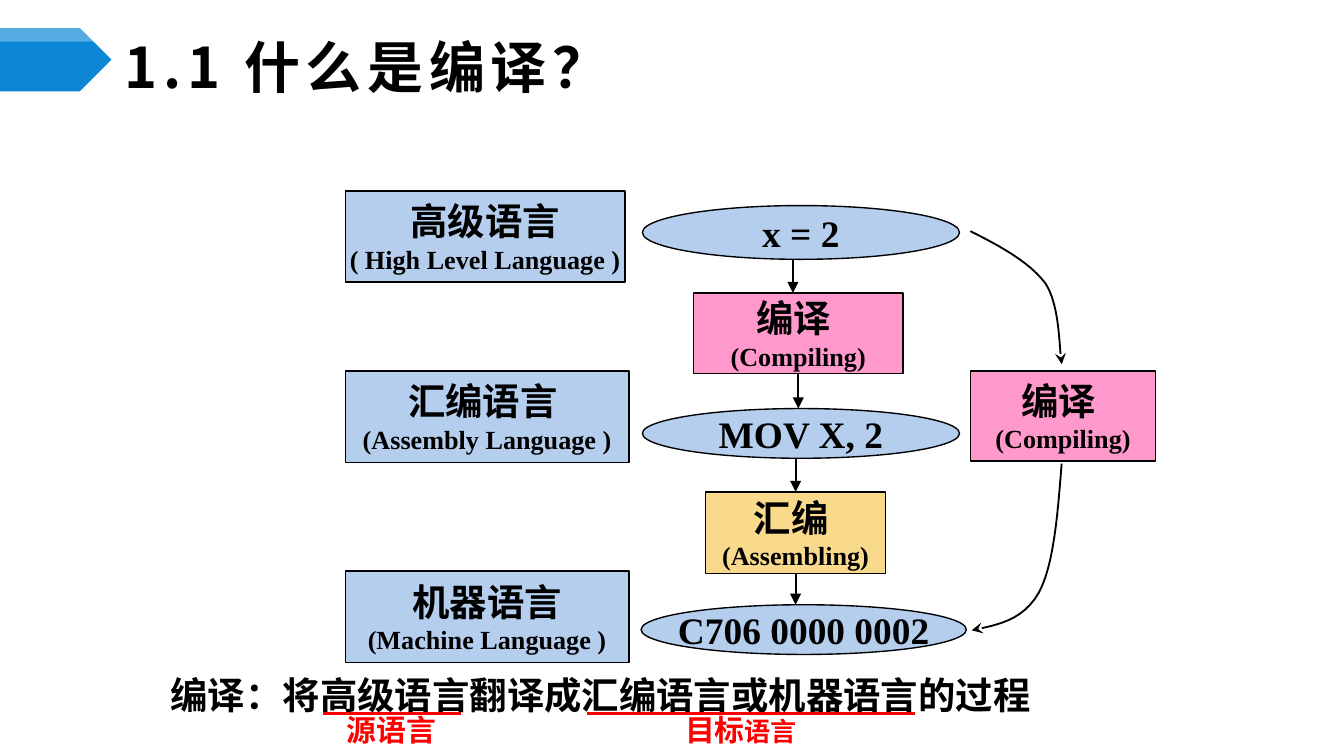
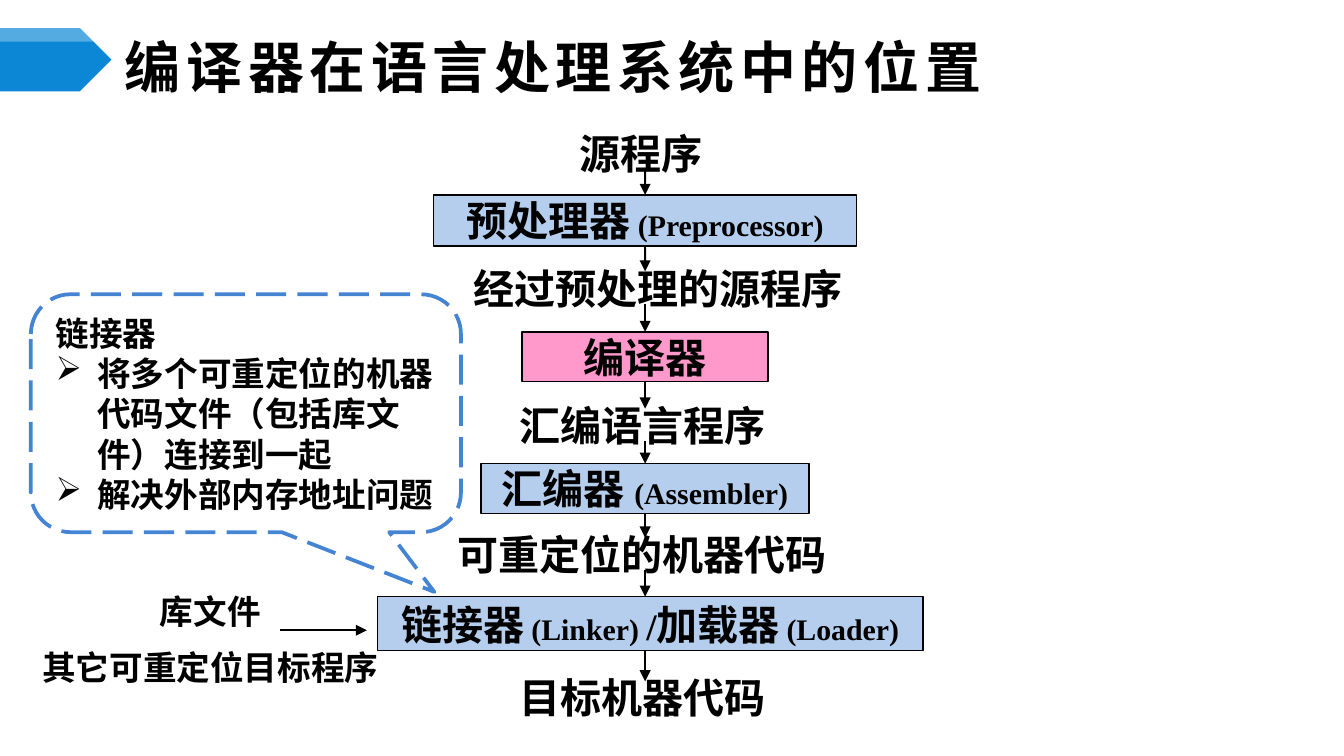
import lxml.etree
import pptx
import pptx.dml.color
import pptx.enum.dml
import pptx.enum.shapes
import pptx.enum.text
import pptx.oxml.ns
import pptx.util

Inches, Pt, qn = pptx.util.Inches, pptx.util.Pt, pptx.oxml.ns.qn
SHAPES = pptx.enum.shapes.MSO_SHAPE
ANCHOR = pptx.enum.text.MSO_ANCHOR
LEFT, CENTER = pptx.enum.text.PP_ALIGN.LEFT, pptx.enum.text.PP_ALIGN.CENTER

SANS, SERIF = "Noto Sans CJK SC", "Times New Roman"
BLACK, WHITE, RED = "000000", "FFFFFF", "FF0000"
BLUE, PINK, YELLOW = "B5CEED", "FF99CC", "F9D98C"
BAND_BLUE, CALLOUT_BLUE = "0B87D6", "4584D3"
TOP, BOTTOM = 0, 2


def color(hex_value):
    return pptx.dml.color.RGBColor.from_string(hex_value)


# Shared drawing helpers; boxes are (left, top, width, height) in inches
def write_text(shape, paragraphs, font=SERIF, ink=BLACK, align=CENTER,
               anchor=ANCHOR.MIDDLE, wrap=False):
    """Each paragraph is a list of (text, size) runs."""
    frame = shape.text_frame
    frame.word_wrap = wrap
    frame.vertical_anchor = anchor
    for index, runs in enumerate(paragraphs):
        paragraph = frame.paragraphs[0] if index == 0 else frame.add_paragraph()
        paragraph.alignment = align
        paragraph.font.size = Pt(runs[0][1])
        paragraph.font.bold = True
        paragraph.font.color.rgb = color(ink)
        paragraph.font.name = font
        defaults = paragraph._p.pPr.find(qn("a:defRPr"))
        lxml.etree.SubElement(defaults, qn("a:ea")).set("typeface", SANS)
        for text, size in runs:
            run = paragraph.add_run()
            run.text = text
            if size != runs[0][1]:
                run.font.size = Pt(size)
    return frame


def add_label(slide, box, paragraphs, **style):
    label = slide.shapes.add_textbox(*map(Inches, box))
    return write_text(label, paragraphs, **style)


def add_block(slide, kind, box, fill, paragraphs=(), outline=BLACK, width=0.75):
    shape = slide.shapes.add_shape(kind, *map(Inches, box))
    shape.shadow.inherit = False
    if fill:
        shape.fill.solid()
        shape.fill.fore_color.rgb = color(fill)
    else:
        shape.fill.background()
    if outline:
        shape.line.color.rgb = color(outline)
        shape.line.width = Pt(width)
    else:
        shape.line.fill.background()
    write_text(shape, paragraphs)
    return shape


def add_arrowhead(shape, kind):
    line = shape._element.spPr.find(qn("a:ln"))
    lxml.etree.SubElement(line, qn("a:tailEnd")).set("type", kind)


def add_line(slide, start, end, ink=BLACK, width=1.0, arrow=True):
    connector = slide.shapes.add_connector(
        pptx.enum.shapes.MSO_CONNECTOR.STRAIGHT, *map(Inches, start + end))
    connector.line.color.rgb = color(ink)
    connector.line.width = Pt(width)
    if arrow:
        add_arrowhead(connector, "triangle")
    lxml.etree.SubElement(connector._element.spPr, qn("a:effectLst"))
    return connector


def add_curve(slide, start, segments, steps=12):
    """Draw cubic segments, each (control, control, end), with an arrowhead."""
    points, origin = [], start
    for first, second, end in segments:
        for step in range(1, steps + 1):
            t = step / steps
            weights = ((1 - t) ** 3, 3 * t * (1 - t) ** 2, 3 * t * t * (1 - t), t ** 3)
            corners = (origin, first, second, end)
            points.append(tuple(
                Inches(sum(weight * corner[axis] for weight, corner in zip(weights, corners)))
                for axis in (0, 1)))
        origin = end
    builder = slide.shapes.build_freeform(Inches(start[0]), Inches(start[1]))
    builder.add_line_segments(points, close=False)
    curve = builder.convert_to_shape()
    curve.shadow.inherit = False
    curve.fill.background()
    curve.line.color.rgb = color(BLACK)
    curve.line.width = Pt(1)
    add_arrowhead(curve, "stealth")


def add_titled_slide(presentation, title):
    slide = presentation.slides.add_slide(presentation.slide_layouts[5])
    # Title
    shape = slide.shapes.title
    shape.left, shape.top, shape.width, shape.height = map(Inches, (0.83, 0.29, 8.67, 0.4))
    frame = write_text(shape, [[(title, 30)]], font=SANS, align=LEFT, wrap=True)
    frame.auto_size = pptx.enum.text.MSO_AUTO_SIZE.NONE
    frame.paragraphs[0]._p.pPr.find(qn("a:defRPr")).set("spc", "300")
    # Pointed band with a translucent highlight
    add_block(slide, SHAPES.PENTAGON, (0, 0.21, 0.83, 0.47), BAND_BLUE, outline=None)
    shine = add_block(slide, SHAPES.PENTAGON, (0, 0.21, 0.83, 0.1), WHITE, outline=None)
    white = shine._element.spPr.find(qn("a:solidFill"))[0]
    lxml.etree.SubElement(white, qn("a:alpha")).set("val", "30000")
    return slide


# Slide 1: what compiling is
def add_language_levels(slide, left, top):
    levels = [
        (0, 2.08, "高级语言", "( High Level Language )"),
        (1.34, 2.11, "汇编语言 ", "(Assembly Language )"),
        (2.83, 2.11, "机器语言", "(Machine Language )"),
    ]
    for offset, width, name, english in levels:
        add_block(slide, SHAPES.RECTANGLE, (left, top + offset, width, 0.68), BLUE,
                  [[(name, 20)], [(english, 14)]])


def add_translation_steps(slide, left, top):
    def place(x, y, width, height):
        return left + x, top + y, width, height

    examples = [
        (place(0.01, 0, 2.36, 0.4), "x = 2"),
        (place(0.01, 1.51, 2.36, 0.37), "MOV X, 2"),
        (place(0, 2.97, 2.42, 0.37), "C706 0000 0002"),
    ]
    for box, code in examples:
        add_block(slide, SHAPES.OVAL, box, BLUE, [[(code, 20)]])
    compiling = add_block(slide, SHAPES.RECTANGLE, place(0.39, 0.65, 1.56, 0.6), PINK,
                          [[("编译 ", 20)], [("(Compiling)", 14)]])
    assembling = add_block(slide, SHAPES.RECTANGLE, place(0.48, 2.13, 1.34, 0.61), YELLOW,
                           [[("汇编 ", 20)], [("(Assembling)", 14)]])

    # Arrows: x, start, end, shape left, shape reached
    for x, start, end, source, target in [
        (1.13, 0.4, 0.65, None, None),
        (1.17, 1.25, 1.51, compiling, None),
        (1.15, 1.88, 2.13, None, assembling),
        (1.15, 2.74, 2.97, assembling, None),
    ]:
        arrow = add_line(slide, (left + x, top + start), (left + x, top + end))
        if source:
            arrow.begin_connect(source, BOTTOM)
        if target:
            arrow.end_connect(target, TOP)


def add_direct_route(slide, left, top):
    def at(x, y):
        return left + x, top + y

    add_block(slide, SHAPES.RECTANGLE, at(0, 1.04) + (1.38, 0.67), PINK,
              [[("编译 ", 20)], [("(Compiling)", 14)]])
    add_curve(slide, at(0, 0), [
        (at(0.22, 0.11), at(0.44, 0.23), at(0.56, 0.39)),
        (at(0.67, 0.56), at(0.66, 0.89), at(0.68, 0.99))])
    add_curve(slide, at(0.68, 1.73), [
        (at(0.65, 2.11), at(0.62, 2.49), at(0.51, 2.69)),
        (at(0.39, 2.9), at(0.2, 2.93), at(0.01, 2.97))])


def add_definition(slide, left, top):
    add_label(slide, (left, top, 6.65, 0.44),
              [[("编译：将高级语言翻译成汇编语言或机器语言的过程", 20)]],
              font=SANS, align=LEFT, anchor=ANCHOR.TOP)
    terms = [
        (1.23, 2.26, 1.31, 0.88, [("源语言", 16)]),
        (3.2, 5.64, 3.83, 1.04, [("目标", 16), ("语言", 14)]),
    ]
    for start, end, x, width, runs in terms:
        add_line(slide, (left + start, top + 0.36), (left + end, top + 0.36),
                 RED, 1.5, arrow=False)
        add_label(slide, (left + x, top + 0.3, width, 0.37), [runs],
                  ink=RED, align=LEFT, anchor=ANCHOR.TOP)


# Slide 2: the compiler in the language processing system
def add_pipeline(slide, axis, top):
    label_height = 0.24
    # Labels: centre offset from the axis, top, width, text, alignment
    labels = [
        (-0.03, 0, 1.87, "源程序", CENTER),
        (0.07, 1, 2.85, "经过预处理的源程序", LEFT),
        (-0.02, 2.02, 3.66, "汇编语言程序", CENTER),
        (-0.02, 2.98, 2.93, "可重定位的机器代码", CENTER),
        (-0.02, 4.05, 2.52, "目标机器代码", CENTER),
    ]
    # Stages: centre offset, top, width, height, fill, runs
    stages = [
        (0, 0.43, 3.15, 0.38, BLUE, [("预处理器", 22), (" ", 18), ("(Preprocessor)", 16)]),
        (0, 1.45, 1.83, 0.37, PINK, [("编译器", 22)]),
        (0, 2.43, 2.44, 0.37, BLUE, [("汇编器 ", 22), ("(Assembler)", 16)]),
        (0.04, 3.42, 4.06, 0.4, BLUE, [("链接器", 22), (" (Linker) ", 16), ("/", 20),
                                       ("加载器", 22), (" (Loader)", 16)]),
    ]
    for offset, y, width, text, align in labels:
        frame = add_label(slide, (axis + offset - width / 2, top + y, width, label_height),
                          [[(text, 22)]], align=align)
        frame.margin_left = Inches(0.08 if align == LEFT else 0)
        frame.margin_right = 0
    for index, (offset, y, width, height, fill, runs) in enumerate(stages):
        stage = add_block(slide, SHAPES.RECTANGLE,
                          (axis + offset - width / 2, top + y, width, height), fill, [runs])
        above, below = labels[index][1] + label_height, labels[index + 1][1]
        entering = add_line(slide, (axis, top + above), (axis, top + y))
        leaving = add_line(slide, (axis, top + y + height), (axis, top + below))
        if offset == 0:
            entering.end_connect(stage, TOP)
            leaving.begin_connect(stage, BOTTOM)


def add_linker_callout(slide, left, top):
    callout = add_block(slide, SHAPES.ROUNDED_RECTANGULAR_CALLOUT,
                        (left, top, 3.2, 1.77), None, outline=CALLOUT_BLUE, width=2)
    for index, value in enumerate((0.438, 0.751, 0.167)):
        callout.adjustments[index] = value
    callout.line.dash_style = pptx.enum.dml.MSO_LINE.LONG_DASH
    lines = ["链接器", "将多个可重定位的机器代码文件（包括库文件）连接到一起", "解决外部内存地址问题"]
    frame = write_text(callout, [[(line, 18)] for line in lines],
                       align=LEFT, anchor=ANCHOR.TOP, wrap=True)
    for paragraph in frame.paragraphs[1:]:
        properties = paragraph._p.pPr
        properties.set("marL", str(Inches(0.31)))
        properties.set("indent", str(-Inches(0.31)))
        bullet = lxml.etree.Element(qn("a:buChar"))
        bullet.set("char", "➢")
        properties.insert(0, bullet)


def add_linker_inputs(slide, left, top):
    frame = add_label(slide, (left, top, 3.05, 0.78),
                      [[("库文件", 18)], [("其它可重定位目标程序", 18)]], font=SANS)
    for paragraph in frame.paragraphs:
        paragraph.line_spacing = Pt(30)
    add_line(slide, (left + 2.04, top + 0.38), (left + 2.69, top + 0.38))


def main():
    presentation = pptx.Presentation()
    # Widescreen, 16:9
    presentation.slide_width = Inches(10)
    presentation.slide_height = presentation.slide_width * 9 // 16

    slide = add_titled_slide(presentation, "1.1 什么是编译？")
    add_definition(slide, 1.17, 4.95)
    add_language_levels(slide, 2.57, 1.42)
    add_translation_steps(slide, 4.77, 1.53)
    add_direct_route(slide, 7.22, 1.72)

    slide = add_titled_slide(presentation, "编译器在语言处理系统中的位置")
    add_linker_inputs(slide, 0.04, 4.31)
    add_linker_callout(slide, 0.23, 2.19)
    add_pipeline(slide, 4.8, 1.02)

    presentation.save("out.pptx")


if __name__ == "__main__":
    main()
